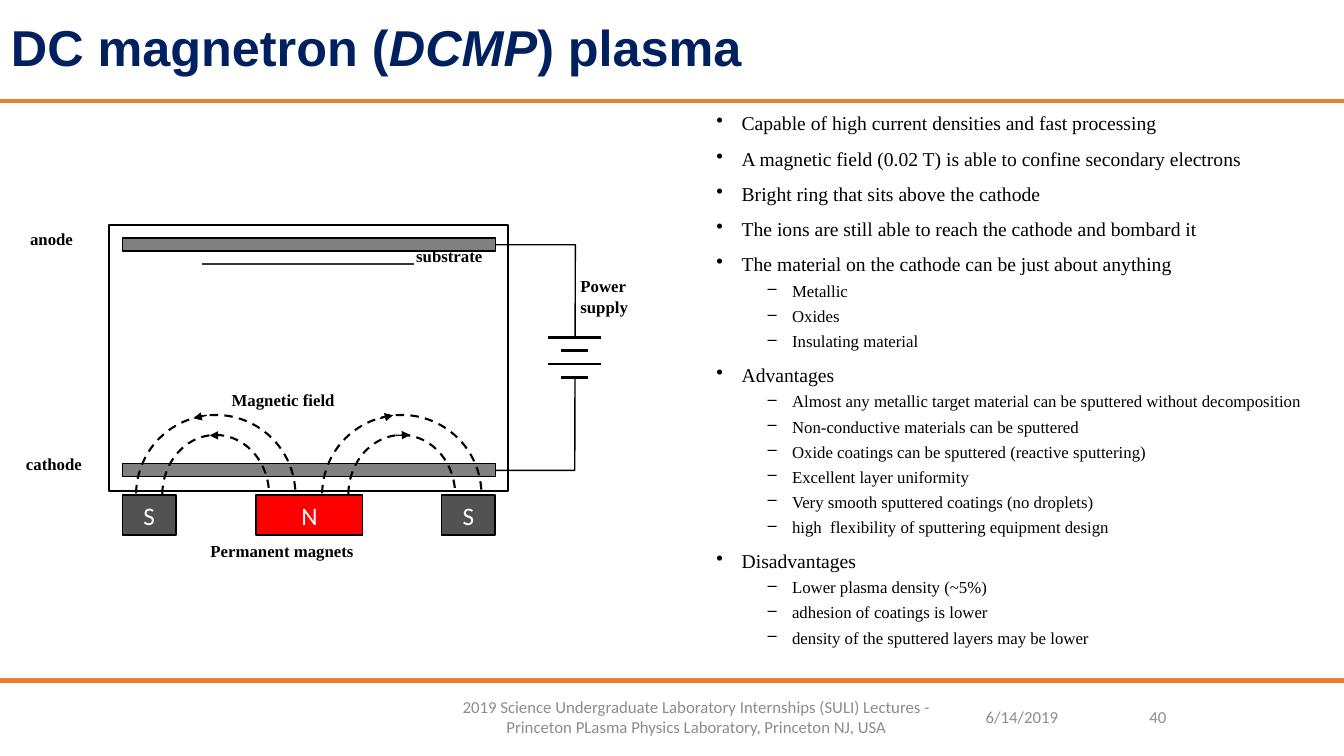
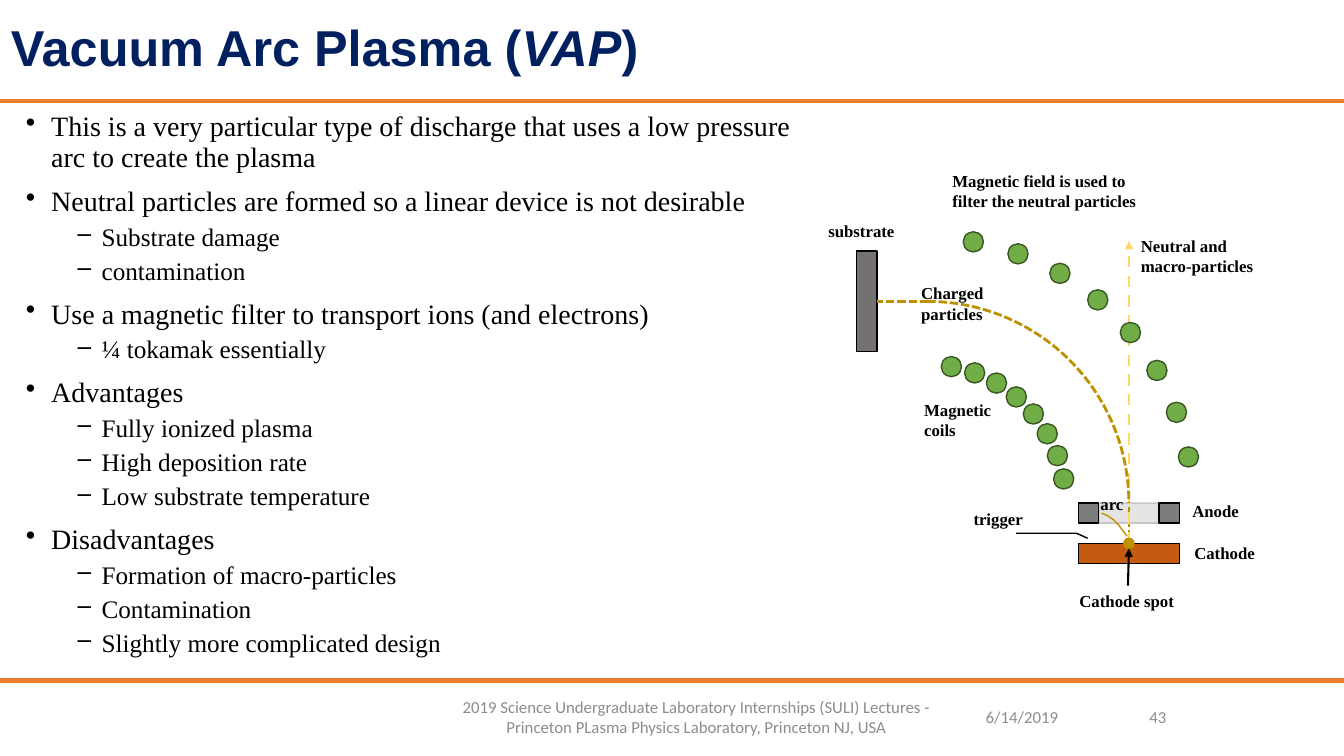
from math import cos, radians, sin

from lxml import etree
from pptx import Presentation
from pptx.dml.color import RGBColor
from pptx.enum.dml import MSO_LINE
from pptx.enum.shapes import MSO_CONNECTOR, MSO_SHAPE
from pptx.enum.text import MSO_ANCHOR, PP_ALIGN
from pptx.oxml.ns import qn
from pptx.util import Pt

BLACK = RGBColor(0x00, 0x00, 0x00)
WHITE = RGBColor(0xFF, 0xFF, 0xFF)
NAVY = RGBColor(0x00, 0x20, 0x60)
ORANGE = RGBColor(0xED, 0x7D, 0x31)
MUTED = RGBColor(0x8C, 0x8C, 0x8C)
PLATE = RGBColor(0x80, 0x80, 0x80)
WAFER = RGBColor(0x3B, 0x38, 0x38)
SOUTH = RGBColor(0x52, 0x52, 0x52)
NORTH = RGBColor(0xFF, 0x00, 0x00)
GREEN = RGBColor(0x70, 0xAD, 0x47)
FOREST = RGBColor(0x38, 0x57, 0x23)
ANODE = RGBColor(0x7C, 0x7C, 0x7C)
COPPER = RGBColor(0xC5, 0x5A, 0x11)
GOLD = RGBColor(0xBF, 0x90, 0x00)
YELLOW = RGBColor(0xFF, 0xD9, 0x66)
TARGET = RGBColor(0x76, 0x71, 0x71)

SERIF = "Times New Roman"
WIDTH, HEIGHT = 960, 540
FOOTER = ("2019 Science Undergraduate Laboratory Internships (SULI) Lectures - "
          "Princeton PLasma Physics Laboratory, Princeton NJ, USA")
DATE = "6/14/2019"

# Each point is a heading with its sub-points.
MAGNETRON = {
    "title": ("DC magnetron (", "DCMP", ") plasma"),
    "number": "40",
    "box": (504.7, 77.8, 446.4, 403.2),
    "sizes": (14, 12),
    "points": [
        ("Capable of high current densities and fast processing", []),
        ("A magnetic field (0.02 T) is able to confine secondary electrons", []),
        ("Bright ring that sits above the cathode", []),
        ("The ions are still able to reach the cathode and bombard it", []),
        ("The material on the cathode can be just about anything",
         ["Metallic", "Oxides", "Insulating material"]),
        ("Advantages",
         ["Almost any metallic target material can be sputtered without decomposition",
          "Non-conductive materials can be sputtered",
          "Oxide coatings can be sputtered (reactive sputtering)",
          "Excellent layer uniformity",
          "Very smooth sputtered coatings (no droplets)",
          "high  flexibility of sputtering equipment design"]),
        ("Disadvantages",
         ["Lower plasma density (~5%)",
          "adhesion of coatings is lower",
          "density of the sputtered layers may be lower"]),
    ],
    "labels": [
        ("Power supply", 407.5, 193.7, 69),
        ("substrate", 290.2, 172.1, 82),
        ("anode", 14.4, 159.8, 60),
        ("cathode", 11.5, 320.4, 72),
        ("Magnetic field", 158.4, 275, 117),
        ("Permanent magnets", 143.3, 383, 155),
    ],
}
ARC = {
    "title": ("Vacuum Arc Plasma (", "VAP", ")"),
    "number": "43",
    "box": (11.5, 77, 576, 403.2),
    "sizes": (20, 18),
    "points": [
        ("This is a very particular type of discharge that uses a low pressure "
         "arc to create the plasma", []),
        ("Neutral particles are formed so a linear device is not desirable",
         ["Substrate damage", "contamination"]),
        ("Use a magnetic filter to transport ions (and electrons)",
         ["¼ tokamak essentially"]),
        ("Advantages",
         ["Fully ionized plasma", "High deposition rate",
          "Low substrate temperature"]),
        ("Disadvantages",
         ["Formation of macro-particles", "Contamination",
          "Slightly more complicated design"]),
    ],
    "labels": [
        ("substrate", 584.6, 154.1, 66),
        ("trigger", 688.3, 360, 56),
        ("Anode", 844.6, 354.2, 56),
        ("arc", 779, 349.2, 36),
        ("Charged particles", 650.9, 198.7, 70),
        ("Cathode", 846, 384.5, 64),
        ("Magnetic coils", 653, 282.2, 73.4),
        ("Neutral and macro-particles", 807.8, 164.9, 98.6),
        ("Magnetic field is used to filter the neutral particles",
         673.2, 118.1, 149.8),
        ("Cathode spot", 763.9, 418.3, 90),
    ],
}


def write(frame, text, size=12, font=SERIF, color=BLACK, bold=False,
          align=PP_ALIGN.LEFT, level=None, spacing=None, before=None):
    """Add a paragraph; text is a string, or parts of which every second is italic."""
    para = frame.paragraphs[0]
    if para.runs:
        para = frame.add_paragraph()
    elif before is not None:
        before = 0
    if level is not None:
        para.level = level
        props = para._p.get_or_add_pPr()
        props.set("marL", str(int(Pt(18 + 36 * level))))
        props.set("indent", str(int(Pt(-18))))
        etree.SubElement(props, qn("a:buChar")).set("char", "•‒"[level])
    para.alignment = align
    if spacing:
        para.line_spacing = spacing
    if before is not None:
        para.space_before = Pt(before)
    for i, part in enumerate([text] if isinstance(text, str) else text):
        run = para.add_run()
        run.text = part
        face = run.font
        face.name, face.size, face.bold = font, Pt(size), bold
        face.italic = i % 2 == 1
        face.color.rgb = color


def frame(slide, left, top, width, height, anchor=MSO_ANCHOR.TOP):
    box = slide.shapes.add_textbox(Pt(left), Pt(top), Pt(width), Pt(height))
    box.text_frame.word_wrap = True
    box.text_frame.vertical_anchor = anchor
    return box.text_frame


def paint(item, fill=None, color=BLACK, weight=1, dash=None, alpha=None):
    item.shadow.inherit = False
    if fill is None:
        item.fill.background()
    else:
        item.fill.solid()
        item.fill.fore_color.rgb = fill
    if color is None:
        item.line.fill.background()
    else:
        item.line.color.rgb = color
        item.line.width = Pt(weight)
        if dash:
            item.line.dash_style = dash
    if alpha:
        for tone in item._element.spPr.iter(qn("a:srgbClr")):
            etree.SubElement(tone, qn("a:alpha")).set("val", str(alpha * 1000))
    return item


def shape(slide, kind, left, top, width, height, **look):
    item = slide.shapes.add_shape(kind, Pt(left), Pt(top), Pt(width), Pt(height))
    return paint(item, **look)


def rect(slide, *place, **look):
    return shape(slide, MSO_SHAPE.RECTANGLE, *place, **look)


def disc(slide, x, y, size, **look):
    return shape(slide, MSO_SHAPE.OVAL, x - size / 2, y - size / 2, size, size, **look)


def trace(slide, points, **look):
    """Draw an open, unfilled outline through the points."""
    start, *rest = [(Pt(x), Pt(y)) for x, y in points]
    maker = slide.shapes.build_freeform(*start)
    maker.add_line_segments(rest, close=False)
    return paint(maker.convert_to_shape(), **look)


def line(slide, x1, y1, x2, y2, color=BLACK, weight=1, dash=None, arrow=False):
    item = slide.shapes.add_connector(
        MSO_CONNECTOR.STRAIGHT, Pt(x1), Pt(y1), Pt(x2), Pt(y2))
    item.line.color.rgb = color
    item.line.width = Pt(weight)
    if dash:
        item.line.dash_style = dash
    if arrow:
        tip = etree.SubElement(item.line._get_or_add_ln(), qn("a:tailEnd"))
        tip.set("type", "triangle")
    etree.SubElement(item._element.spPr, qn("a:effectLst"))
    return item


def base(deck, data):
    """Add a slide with rules, title, footer and bullets."""
    slide = deck.slides.add_slide(deck.slide_layouts[6])
    for y in (72, 486):
        line(slide, 0, y, WIDTH, y, color=ORANGE, weight=3)
    write(frame(slide, 0.7, 0, WIDTH - 0.7, 72, MSO_ANCHOR.MIDDLE), data["title"],
          size=36, font="Arial", color=NAVY, bold=True, spacing=0.9)
    for text, left, width, align in (
            (DATE, 697, 72, PP_ALIGN.LEFT),
            (FOOTER, 299.5, 396, PP_ALIGN.CENTER),
            (data["number"], 768.2, 72, PP_ALIGN.RIGHT)):
        write(frame(slide, left, 486.7, width, 50.4, MSO_ANCHOR.MIDDLE), text,
              font="Calibri", color=MUTED, align=align)
    body = frame(slide, *data["box"])
    for head, subs in data["points"]:
        for level, text in [(0, head)] + [(1, sub) for sub in subs]:
            write(body, text, size=data["sizes"][level], level=level,
                  spacing=0.9, before=10 - 5 * level)
    return slide


def label(slide, labels):
    for text, left, top, width in labels:
        write(frame(slide, left, top, width, 22), text, bold=True)


def chamber(slide):
    """Draw the magnetron chamber, its magnets, field and supply."""
    rect(slide, 77.8, 160.6, 285.1, 190.1)
    for y in (169.9, 331.2):
        rect(slide, 87.5, y, 266.4, 9.4, fill=PLATE)
    line(slide, 144, 188.6, 296, 188.6, color=WAFER, weight=2)
    for text, left, width, fill in (("S", 87.5, 38.2, SOUTH),
                                    ("S", 315.5, 38.2, SOUTH),
                                    ("N", 182.9, 76.3, NORTH)):
        pole = rect(slide, left, 353.5, width, 28.8, fill=fill)
        pole.text_frame.vertical_anchor = MSO_ANCHOR.MIDDLE
        write(pole.text_frame, text, size=18, font="Calibri", color=WHITE,
              align=PP_ALIGN.CENTER)
    for mid in (154.1, 287):
        for top, width, height in ((296.4, 113.8, 113.8), (310.7, 76.3, 85.7)):
            loop = shape(slide, MSO_SHAPE.ARC, mid - width / 2, top, width, height,
                         weight=1.5, dash=MSO_LINE.DASH)
            loop.adjustments[0], loop.adjustments[1] = 108.55, 215.71
    for ends in ((271.4, 298.8, 280.8, 296.6), (283, 311, 293, 310.6),
                 (147.6, 296.6, 138.2, 298.8), (159.1, 311, 149.8, 311)):
        line(slide, *ends, arrow=True)
    trace(slide, [(353.9, 174.8), (411, 174.8), (410.6, 336), (353.9, 336)])
    rect(slide, 406.1, 241.2, 9.4, 28.8, fill=WHITE, color=None)
    for i in range(4):
        half = (19, 9.5)[i % 2]
        y = 241.2 + 9.4 * i
        line(slide, 410.6 - half, y, 410.6 + half, y, weight=2)


def duct(slide):
    """Draw the arc source, the curved filter and its coils."""
    rect(slide, 784.8, 359.3, 43.2, 14.4, fill=ANODE, alpha=20)
    for left in (770.4, 828):
        rect(slide, left, 359.3, 14.4, 14.4, fill=ANODE)
    cathode = rect(slide, 770.4, 388.1, 72, 14.4, fill=COPPER)
    trace(slide, [(725.8, 380.9), (769, 380.9), (776.9, 384.5)])
    trace(slide, [(787, 366.5), (791.5, 368.6), (795.6, 371.5), (799, 375),
                  (802, 379), (805, 383)], color=GOLD)
    beam = dict(color=GOLD, weight=2, dash=MSO_LINE.SQUARE_DOT)
    target = rect(slide, 612, 179.3, 14.4, 72, fill=TARGET)
    line(slide, 663.1, 215.3, 626.4, 215.3, **beam).end_connect(target, 3)
    line(slide, 806.4, 384.5, 806.4, 359.3, **beam)
    drift = line(slide, 806.4, 388.1, 806.4, 172.1, color=YELLOW, weight=2,
                 dash=MSO_LINE.DASH, arrow=True)
    drift.begin_connect(cathode, 0)
    x, y = 662.4, 359.3
    shape(slide, MSO_SHAPE.ARC, x - 144, y - 144, 288, 288, **beam)
    for reach in (98.9, 189.4):
        for turn in range(10, 90, 10):
            disc(slide, x + reach * cos(radians(turn)),
                 y - reach * sin(radians(turn)), 14.4, fill=GREEN, color=FOREST)
    disc(slide, 806.4, 388.1, 7.2, fill=GOLD, color=GOLD)
    line(slide, 805.7, 418.3, 806.4, 391.7, weight=1.5, arrow=True)


def main():
    deck = Presentation()
    deck.slide_width, deck.slide_height = Pt(WIDTH), Pt(HEIGHT)
    for data, draw in ((MAGNETRON, chamber), (ARC, duct)):
        slide = base(deck, data)
        draw(slide)
        label(slide, data["labels"])
    deck.save("out.pptx")


if __name__ == "__main__":
    main()
